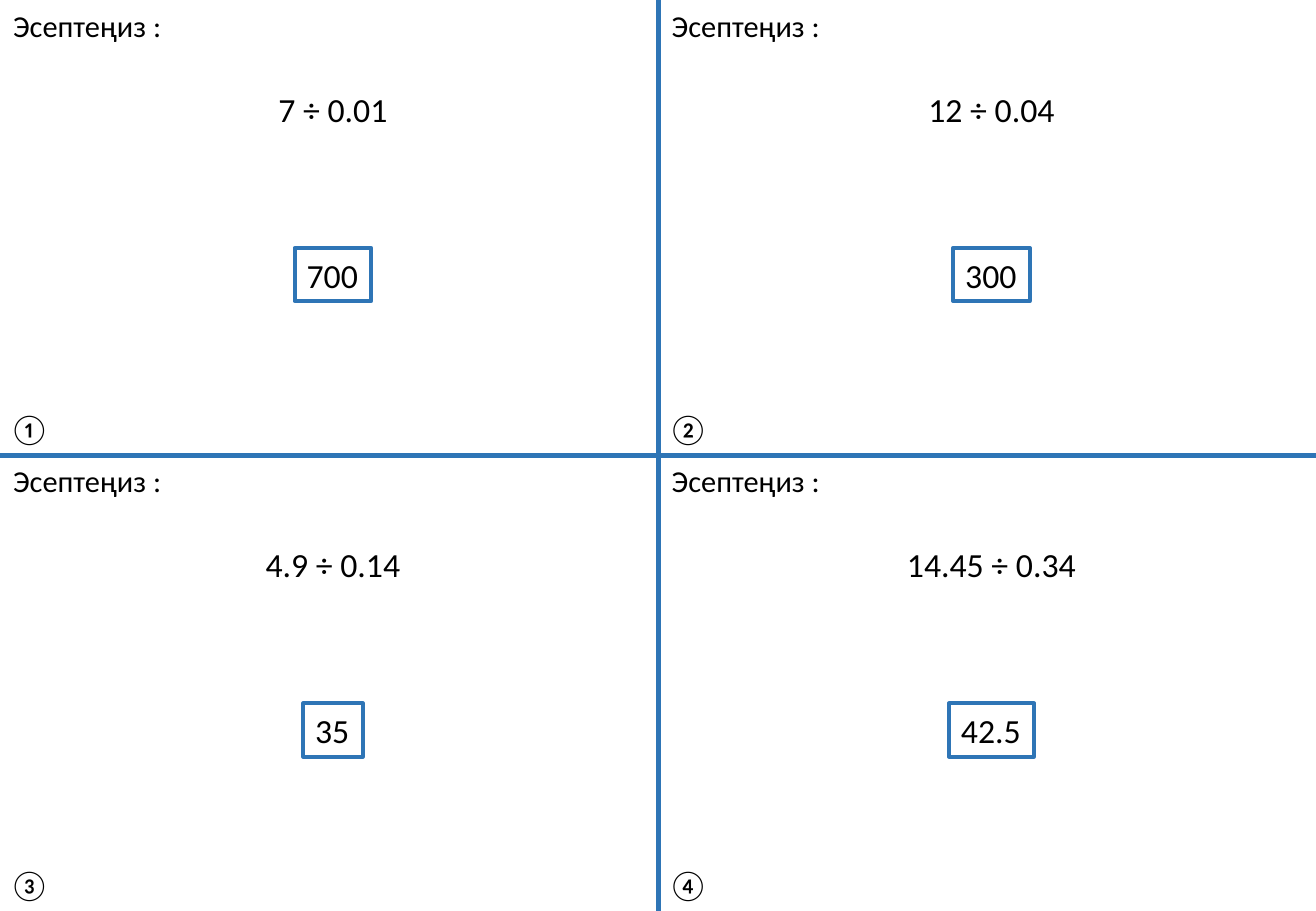
from dataclasses import dataclass

from lxml import etree
from pptx import Presentation
from pptx.dml.color import RGBColor
from pptx.enum.shapes import MSO_CONNECTOR, MSO_SHAPE
from pptx.enum.text import MSO_ANCHOR, MSO_AUTO_SIZE, PP_ALIGN
from pptx.oxml.ns import qn
from pptx.util import Inches, Pt

LEFT, CENTER, JUSTIFY = PP_ALIGN.LEFT, PP_ALIGN.CENTER, PP_ALIGN.JUSTIFY
MIDDLE, TOP = MSO_ANCHOR.MIDDLE, MSO_ANCHOR.TOP
FIT_SHAPE = MSO_AUTO_SIZE.SHAPE_TO_FIT_TEXT
RECTANGLE = MSO_SHAPE.RECTANGLE
STRAIGHT = MSO_CONNECTOR.STRAIGHT

SLIDE_W, SLIDE_H = 10.83, 7.5
CARD_W, CARD_H = 5.42, 3.75
CARD_CENTER = 2.74
BLUE, BLACK, WHITE = "2E75B6", "000000", "FFFFFF"
FONT = "Calibri"
PROMPT = "Эсептеңиз :"


@dataclass
class Card:
    badge: str
    question: str
    question_w: float
    answer: str
    answer_w: float


CARDS = [
    Card("①", "7 ÷ 0.01", 1.11, "700", 0.63),
    Card("②", "12 ÷ 0.04", 1.25, "300", 0.63),
    Card("③", "4.9 ÷ 0.14", 1.32, "35", 0.49),
    Card("④", "14.45 ÷ 0.34", 1.6, "42.5", 0.7),
]


def rgb(color: str) -> RGBColor:
    return RGBColor.from_string(color)


def write(sp, text: str, size: float, align: PP_ALIGN, anchor: MSO_ANCHOR) -> None:
    tf = sp.text_frame
    tf.word_wrap = False
    tf.auto_size = FIT_SHAPE
    tf.vertical_anchor = anchor
    p = tf.paragraphs[0]
    p.alignment = align
    r = p.add_run()
    r.text = text
    r.font.name = FONT
    r.font.size = Pt(size)
    r.font.color.rgb = rgb(BLACK)


def add_text(s, text: str, x: float, y: float, w: float, h: float,
             size: float, align: PP_ALIGN = LEFT) -> None:
    sp = s.shapes.add_textbox(Inches(x), Inches(y), Inches(w), Inches(h))
    write(sp, text, size, align, TOP)


def add_answer(s, text: str, x: float, y: float, w: float, h: float) -> None:
    sp = s.shapes.add_shape(RECTANGLE, Inches(x), Inches(y), Inches(w), Inches(h))
    sp.shadow.inherit = False
    sp.fill.solid()
    sp.fill.fore_color.rgb = rgb(WHITE)
    sp.line.color.rgb = rgb(BLUE)
    sp.line.width = Pt(2.25)
    write(sp, text, 20, JUSTIFY, MIDDLE)


def add_divider(s, x1: float, y1: float, x2: float, y2: float) -> None:
    line = s.shapes.add_connector(STRAIGHT, Inches(x1), Inches(y1), Inches(x2), Inches(y2))
    line.line.color.rgb = rgb(BLUE)
    line.line.width = Pt(3)
    etree.SubElement(line._element.spPr, qn("a:effectLst"))


def add_card(s, card: Card, x: float, y: float) -> None:
    center = x + CARD_CENTER
    add_text(s, PROMPT, x + 0.01, y + 0.01, 1.44, 0.4, 18)
    add_text(s, card.question, center - card.question_w / 2, y + 0.68,
             card.question_w, 0.44, 20, CENTER)
    add_answer(s, card.answer, center - card.answer_w / 2, y + 2.04, card.answer_w, 0.44)
    add_text(s, card.badge, x - 0.02, y + 3.33, 0.54, 0.4, 18)


def main() -> None:
    prs = Presentation()
    prs.slide_width, prs.slide_height = Inches(SLIDE_W), Inches(SLIDE_H)
    s = prs.slides.add_slide(prs.slide_layouts[6])
    add_divider(s, CARD_W, 0, CARD_W, SLIDE_H)
    add_divider(s, 0, CARD_H, SLIDE_W, CARD_H)
    for i, card in enumerate(CARDS):
        row, col = divmod(i, 2)
        add_card(s, card, col * CARD_W, row * CARD_H)
    prs.save("out.pptx")


if __name__ == "__main__":
    main()
